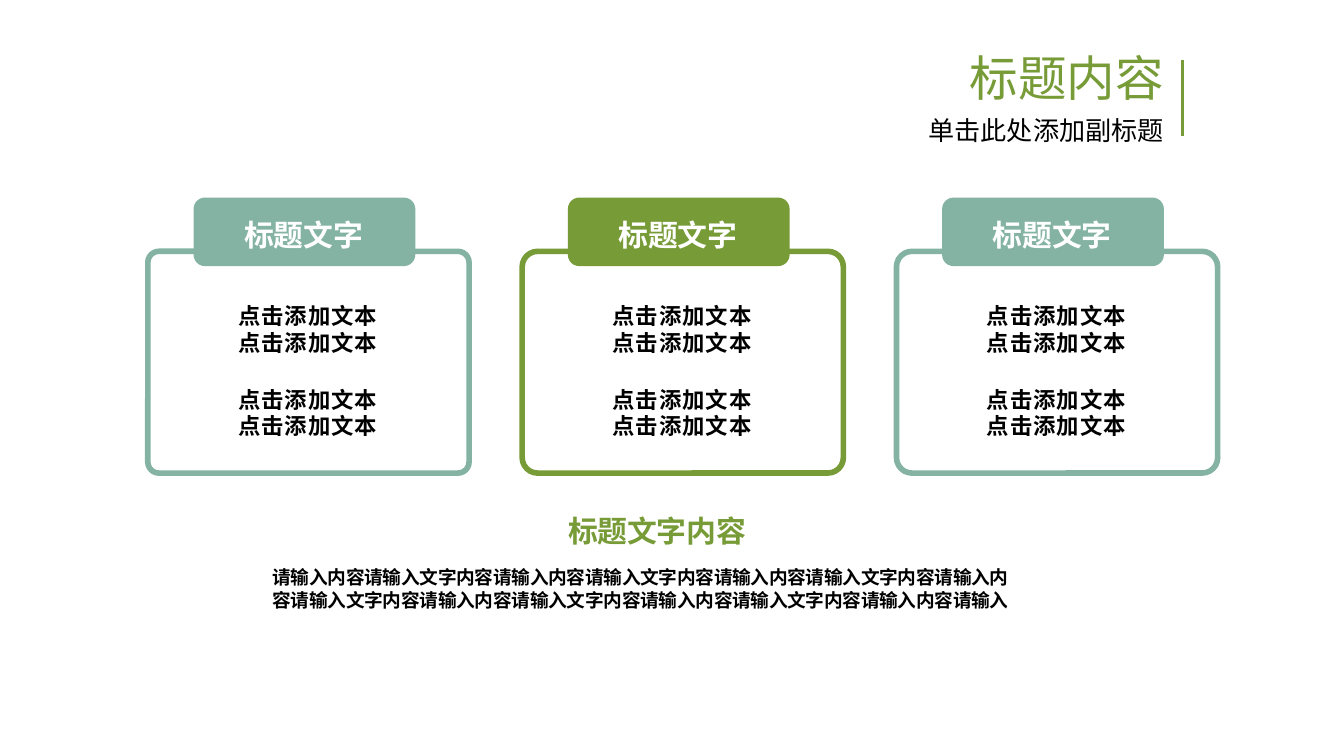
import pptx
import pptx.util
import pptx.dml.color
import pptx.enum.shapes
import pptx.enum.text
import pptx.oxml.ns
from lxml import etree

Inches, Pt = pptx.util.Inches, pptx.util.Pt
RGBColor = pptx.dml.color.RGBColor
Align = pptx.enum.text.PP_ALIGN
Anchor = pptx.enum.text.MSO_ANCHOR
Fit = pptx.enum.text.MSO_AUTO_SIZE
ROUND = pptx.enum.shapes.MSO_SHAPE.ROUNDED_RECTANGLE
qn = pptx.oxml.ns.qn

FONT = "Noto Sans CJK SC"
GREEN = RGBColor(0x77, 0x9B, 0x37)
TEAL = RGBColor(0x84, 0xB3, 0xA3)
BLACK = RGBColor(0, 0, 0)
WHITE = RGBColor(255, 255, 255)

# Content
TITLE = "标题内容"
SUBTITLE = "单击此处添加副标题"
LINES = ["点击添加文本", "点击添加文本"]
CARDS = [  # label, text blocks, colour, corner
    ("标题文字", [LINES, LINES], TEAL, 0.05),
    ("标题文字", [LINES, LINES], GREEN, 0.07),
    ("标题文字", [LINES, LINES], TEAL, 0.07),
]
HEADING = "标题文字内容"
BODY = ("请输入内容请输入文字内容请输入内容请输入文字内容"
        "请输入内容请输入文字内容请输入内容请输入文字内容"
        "请输入内容请输入文字内容请输入内容请输入文字内容"
        "请输入内容请输入")

# Card grid
LEFT, LAST, WIDE = 1.1, 6.67, 2.39
STEP = (LAST - LEFT) / (len(CARDS) - 1)

# Slide of 16 to 9
deck = pptx.Presentation()
deck.slide_width = Inches(10)
deck.slide_height = Inches(10 * 9 / 16)
slide = deck.slides.add_slide(deck.slide_layouts[6])


def add_text(lines, x, y, w, h, size=12, color=BLACK, bold=True,
             align=Align.LEFT, space=0, lead=None, grow=True):
    box = slide.shapes.add_textbox(Inches(x), Inches(y), Inches(w), Inches(h))
    frame = box.text_frame
    frame.word_wrap = True
    if grow:
        frame.auto_size = Fit.SHAPE_TO_FIT_TEXT
        frame.vertical_anchor = Anchor.MIDDLE
    for i, line in enumerate(lines):
        para = frame.paragraphs[0] if i == 0 else frame.add_paragraph()
        para.alignment = align
        if lead:
            para.line_spacing = lead
        run = para.add_run()
        run.text = line
        font = run.font
        font.name, font.size, font.bold = FONT, Pt(size), bold
        font.color.rgb = color
        props = run._r.get_or_add_rPr()
        etree.SubElement(props, qn("a:ea")).set("typeface", FONT)
        if space:
            props.set("spc", str(round(space * 100)))


def add_round(x, y, w, h, fill=None, line=None, corner=None):
    shape = slide.shapes.add_shape(ROUND, Inches(x), Inches(y),
                                   Inches(w), Inches(h))
    shape.shadow.inherit = False
    if corner:
        shape.adjustments[0] = corner
    if fill:
        shape.fill.solid()
        shape.fill.fore_color.rgb = fill
    else:
        shape.fill.background()
    if line:
        shape.line.color.rgb = line
        shape.line.width = Pt(3)
    else:
        shape.line.fill.background()


# Cards: frame, tab, label and text blocks
for i, (label, blocks, color, corner) in enumerate(CARDS):
    x = LEFT + i * STEP
    add_round(x, 1.87, WIDE, 1.65, line=color, corner=corner)
    add_round(x + 0.34, 1.47, 1.65, 0.51, fill=color)
    add_text([label], x + 0.43, 1.54, 1.46, 0.41, size=16, color=WHITE,
             align=Align.CENTER)
    for j, lines in enumerate(blocks):
        add_text(lines, x + 0.03, 2.2 + j * 0.62, 2.32, 0.5,
                 align=Align.CENTER, space=0.5)

# Summary
add_text([BODY], 1.93, 4.16, 5.75, 0.44, size=10, space=-0.1)
add_text([HEADING], 4.13, 3.76, 2.25, 0.37, size=16, color=GREEN, space=-0.1)

# Title with its rule
head = dict(bold=False, align=Align.RIGHT, lead=0.9, grow=False)
add_text([TITLE], 4.94, 0.36, 3.82, 0.5, size=26, color=GREEN, **head)
add_text([SUBTITLE], 4.94, 0.83, 3.82, 0.4, size=14, **head)
rule = slide.shapes.add_connector(pptx.enum.shapes.MSO_CONNECTOR.STRAIGHT,
                                  Inches(8.8), Inches(0.45),
                                  Inches(8.8), Inches(1.01))
rule.line.color.rgb = GREEN
rule.line.width = Pt(1.5)
etree.SubElement(rule._element.spPr, qn("a:effectLst"))

deck.save("out.pptx")
